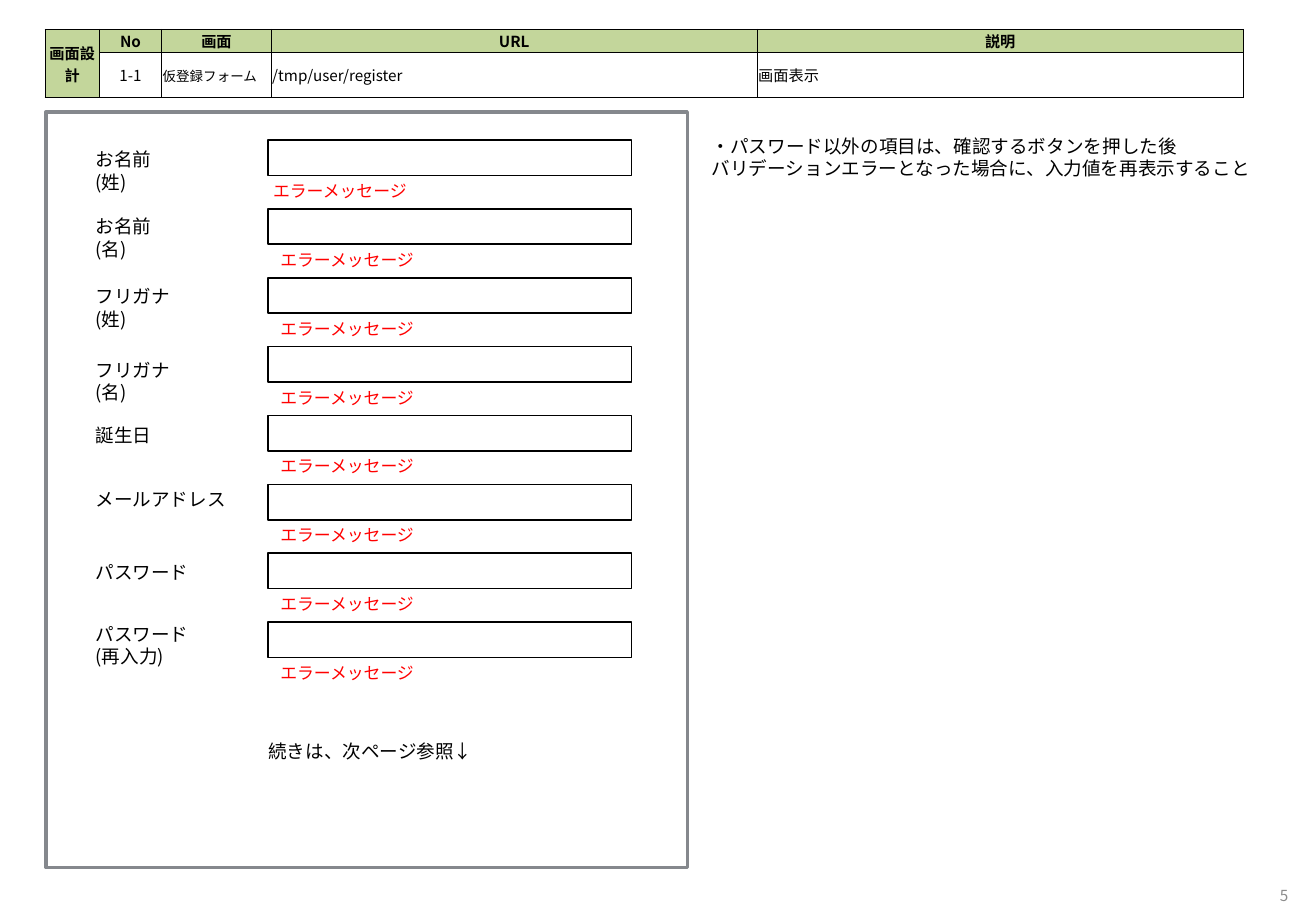
from lxml import etree
from pptx import Presentation
from pptx.dml.color import RGBColor
from pptx.enum import shapes, text
from pptx.oxml import ns
from pptx.util import Cm, Pt

COLORS = {
    "black": "000000", "white": "FFFFFF", "header": "C3D69B",
    "frame": "85888D", "error": "FF0000", "number": "8C8C8C",
}
JAPANESE, KOREAN = "Noto Sans CJK JP", "Noto Sans CJK KR"
LINE_HEIGHT = 1.21


def color(name):
    return RGBColor.from_string(COLORS[name])


class FormSlide:
    """Holds the shared style and the current slide."""

    def __init__(self, presentation):
        self.slide = presentation.slides.add_slide(presentation.slide_layouts[6])

    def style(self, paragraph, size, ink="black", font=JAPANESE, bold=False):
        for run in paragraph.runs:
            run.font.size, run.font.bold, run.font.name = Pt(size), bold, font
            run.font.color.rgb = color(ink)
            east_asian = etree.SubElement(run.font._element, ns.qn("a:ea"))
            east_asian.set("typeface", font)

    def label(self, content, left, top, width, height, size=11, ink="black", wrap=False):
        box = self.slide.shapes.add_textbox(Cm(left), Cm(top), Cm(width), Cm(height))
        frame = box.text_frame
        frame.word_wrap = wrap
        frame.auto_size = text.MSO_AUTO_SIZE.SHAPE_TO_FIT_TEXT
        frame.text = content
        for paragraph in frame.paragraphs:
            paragraph.line_spacing = Pt(round(size * LINE_HEIGHT, 1))
            self.style(paragraph, size, ink)

    def page_number(self, content, left, top, width, height):
        box = self.slide.shapes.add_textbox(Cm(left), Cm(top), Cm(width), Cm(height))
        frame = box.text_frame
        frame.word_wrap = True
        frame.vertical_anchor = text.MSO_ANCHOR.MIDDLE
        frame.text = content
        frame.paragraphs[0].alignment = text.PP_ALIGN.RIGHT
        self.style(frame.paragraphs[0], 9, "number", KOREAN)

    def rectangle(self, left, top, width, height, line, weight, fill=None):
        shape = self.slide.shapes.add_shape(
            shapes.MSO_SHAPE.RECTANGLE, Cm(left), Cm(top), Cm(width), Cm(height))
        shape.shadow.inherit = False
        shape.line.color.rgb, shape.line.width = color(line), Pt(weight)
        if fill:
            shape.fill.solid()
            shape.fill.fore_color.rgb = color(fill)
        else:
            shape.fill.background()

    def borders(self, cell):
        properties = cell._tc.get_or_add_tcPr()
        for index, side in enumerate(("lnL", "lnR", "lnT", "lnB")):
            line = etree.Element(ns.qn(f"a:{side}"), w=str(Pt(0.5)))
            fill = etree.SubElement(line, ns.qn("a:solidFill"))
            etree.SubElement(fill, ns.qn("a:srgbClr"), val=COLORS["black"])
            properties.insert(index, line)

    def table(self, rows, left, top, widths, heights):
        table = self.slide.shapes.add_table(
            len(rows), len(widths), Cm(left), Cm(top),
            Cm(sum(widths)), Cm(sum(heights))).table
        for column, width in zip(table.columns, widths):
            column.width = Cm(width)
        for row, height in zip(table.rows, heights):
            row.height = Cm(height)
        for r, row in enumerate(rows):
            for c, content in enumerate(row):
                cell = table.cell(r, c)
                cell.text = content
                cell.margin_left = cell.margin_right = cell.margin_top = Cm(0.02)
                cell.margin_bottom = 0
                cell.vertical_anchor = text.MSO_ANCHOR.MIDDLE
                heading = r == 0 or c == 0
                if heading:
                    cell.fill.solid()
                    cell.fill.fore_color.rgb = color("header")
                else:
                    cell.fill.background()
                self.borders(cell)
                paragraph = cell.text_frame.paragraphs[0]
                centred = heading or c == 1
                paragraph.alignment = (
                    text.PP_ALIGN.CENTER if centred else text.PP_ALIGN.LEFT)
                size = 8 if content == "仮登録フォーム" else 9
                self.style(paragraph, size, bold=heading)
        table.cell(0, 0).merge(table.cell(1, 0))


def main():
    presentation = Presentation()
    presentation.slide_width, presentation.slide_height = Cm(27.51), Cm(19.05)
    form = FormSlide(presentation)

    # Screen summary
    form.table(
        [["画面設計", "No", "画面", "URL", "説明"],
         ["", "1-1", "仮登録フォーム", "/tmp/user/register", "画面表示"]],
        0.94, 0.61, [1.14, 1.3, 2.29, 10.16, 10.16], [0.42, 0.78])
    form.page_number("5", 25.55, 18.52, 1.63, 0.41)

    # Form frame
    form.rectangle(0.96, 2.34, 13.41, 15.8, "frame", 2)

    # Fields: label, label top, label width, wrapping
    fields = [
        ("お名前(姓)", 2.97, 2.16, True),
        ("お名前(名)", 4.37, 2.16, True),
        ("フリガナ(姓)", 5.84, 2.16, True),
        ("フリガナ(名)", 7.37, 2.16, True),
        ("誕生日", 8.74, 1.68, False),
        ("メールアドレス", 10.08, 3.25, False),
        ("パスワード", 11.61, 2.46, False),
        ("パスワード\n(再入力)", 12.9, 2.46, False),
    ]
    for index, (name, label_top, width, wrap) in enumerate(fields):
        field_top = 2.93 + 1.44 * index
        label_height = 1.19 if "\n" in name else 0.74
        form.label(name, 1.75, label_top, width, label_height, wrap=wrap)
        form.rectangle(5.61, field_top, 7.59, 0.74, "black", 1, "white")
        error_left = 5.61 if index else 5.46
        form.label("エラーメッセージ", error_left, field_top + 0.72, 3.35, 0.69,
                   size=10, ink="error")

    # Notes
    form.label("・パスワード以外の項目は、確認するボタンを押した後\n"
               "バリデーションエラーとなった場合に、入力値を再表示すること",
               14.63, 2.69, 11.89, 1.19)
    form.label("続きは、次ページ参照↓", 5.36, 15.34, 4.83, 0.74)

    presentation.save("out.pptx")


if __name__ == "__main__":
    main()
